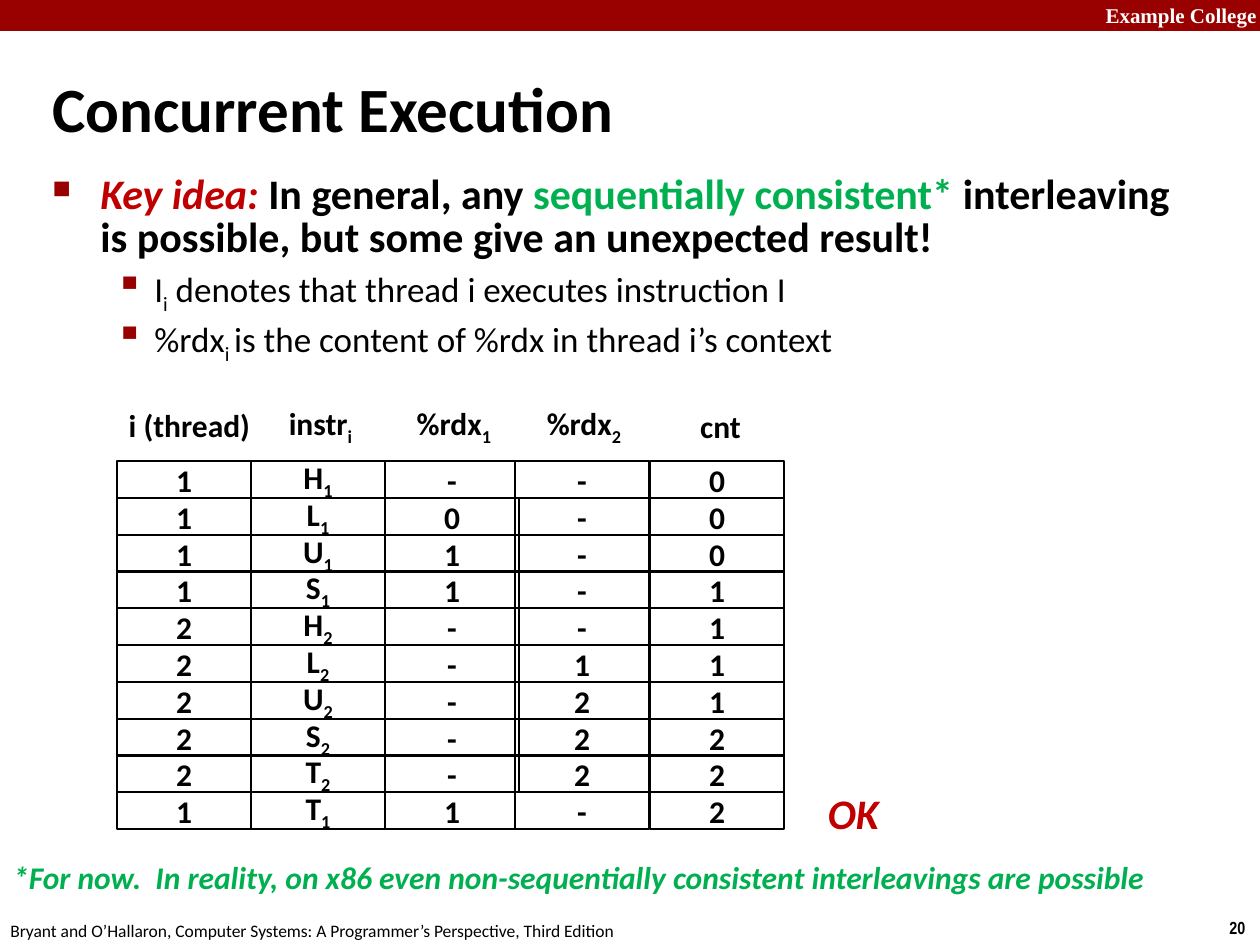
import pptx
import pptx.dml.color
import pptx.enum.shapes
import pptx.enum.text
import pptx.oxml.ns
import pptx.util
from lxml import etree

RGBColor = pptx.dml.color.RGBColor
BLACK = RGBColor(0x00, 0x00, 0x00)
WHITE = RGBColor(0xFF, 0xFF, 0xFF)
BAR_RED = RGBColor(0x99, 0x00, 0x00)
KEY_RED = RGBColor(0xC0, 0x00, 0x00)
GREEN = RGBColor(0x00, 0xB0, 0x50)

Pt = pptx.util.Pt
ALIGN = pptx.enum.text.PP_ALIGN
ANCHOR = pptx.enum.text.MSO_ANCHOR
RECTANGLE = pptx.enum.shapes.MSO_SHAPE.RECTANGLE
PX_PER_INCH = 126

# Execution trace: thread, (instruction, subscript), %rdx1, %rdx2, cnt
TRACE = [
    ("1", ("H", "1"), "-", "-", "0"),
    ("1", ("L", "1"), "0", "-", "0"),
    ("1", ("U", "1"), "1", "-", "0"),
    ("1", ("S", "1"), "1", "-", "1"),
    ("2", ("H", "2"), "-", "-", "1"),
    ("2", ("L", "2"), "-", "1", "1"),
    ("2", ("U", "2"), "-", "2", "1"),
    ("2", ("S", "2"), "-", "2", "2"),
    ("2", ("T", "2"), "-", "2", "2"),
    ("1", ("T", "1"), "1", "-", "2"),
]
# Column headings: text, subscript, left, top, width
HEADINGS = [
    ("i (thread)", "", 116, 400, 147),
    ("instr", "i", 276, 401, 89),
    ("%rdx", "1", 403, 401, 102),
    ("%rdx", "2", 533, 401, 102),
    ("cnt", "", 687, 401, 67),
]
COLUMN_LEFTS = (117, 251, 385, 515, 650)
TRACE_TOP, ROW_PITCH = 461, 36.8
CELL_WIDTH, CELL_HEIGHT = 134, 37


def px(length):
    return pptx.util.Emu(round(length * 914400 / PX_PER_INCH))


def add_run(paragraph, text, size, color=BLACK, bold=False, italic=False,
            font="Calibri", subscript=False):
    run = paragraph.add_run()
    run.text = text
    run.font.name = font
    run.font.size = Pt(size)
    run.font.bold = bold
    run.font.italic = italic
    run.font.color.rgb = color
    if subscript:
        run.font._element.set("baseline", "-25000")


def add_text_box(slide, left, top, width, height, anchor=ANCHOR.TOP, wrap=False):
    shape = slide.shapes.add_textbox(px(left), px(top), px(width), px(height))
    shape.text_frame.word_wrap = wrap
    shape.text_frame.vertical_anchor = anchor
    return shape.text_frame


def add_label(slide, text, box, size, align=ALIGN.LEFT, anchor=ANCHOR.TOP, **style):
    paragraph = add_text_box(slide, *box, anchor=anchor).paragraphs[0]
    paragraph.alignment = align
    add_run(paragraph, text, size, **style)
    return paragraph


def add_rectangle(slide, left, top, width, height, fill=None, line=None):
    shape = slide.shapes.add_shape(RECTANGLE, px(left), px(top), px(width), px(height))
    shape.shadow.inherit = False
    if fill is None:
        shape.fill.background()
    else:
        shape.fill.solid()
        shape.fill.fore_color.rgb = fill
    if line is None:
        shape.line.fill.background()
    else:
        shape.line.color.rgb = line
        shape.line.width = Pt(1)
    return shape


def add_cell(slide, left, top, content, fill):
    shape = add_rectangle(slide, left, top, CELL_WIDTH, CELL_HEIGHT, fill, BLACK)
    shape.text_frame.vertical_anchor = ANCHOR.MIDDLE
    paragraph = shape.text_frame.paragraphs[0]
    paragraph.alignment = ALIGN.CENTER
    for index, text in enumerate(content):
        add_run(paragraph, text, 18, bold=True, subscript=index > 0)


def set_indent(paragraph, margin, hanging):
    properties = paragraph._p.get_or_add_pPr()
    properties.set("marL", str(px(margin)))
    properties.set("indent", str(-px(hanging)))
    return properties


def set_bullet(paragraph, margin, hanging, character, percent):
    properties = set_indent(paragraph, margin, hanging)
    qn = pptx.oxml.ns.qn
    color = etree.SubElement(properties, qn("a:buClr"))
    etree.SubElement(color, qn("a:srgbClr"), val=str(BAR_RED))
    etree.SubElement(properties, qn("a:buSzPct"), val=str(percent * 1000))
    etree.SubElement(properties, qn("a:buChar"), char=character)


def add_body(slide):
    frame = add_text_box(slide, 40, 169, 1145, 200, wrap=True)

    # Key idea
    paragraph = frame.paragraphs[0]
    paragraph.line_spacing = 0.85
    paragraph.space_before = Pt(5)
    set_bullet(paragraph, 48, 48, "■", 60)
    add_run(paragraph, "Key idea: ", 24, KEY_RED, bold=True, italic=True)
    add_run(paragraph, "In general, any ", 24, bold=True)
    add_run(paragraph, "sequentially consistent* ", 24, GREEN, bold=True)
    add_run(paragraph, "interleaving is possible, but some give an unexpected result!",
            24, bold=True)

    # Notation
    for symbol, subscript, meaning in (
        ("I", "i", " denotes that thread i executes instruction I"),
        ("%rdx", "i ", "is the content of %rdx in thread i’s context"),
    ):
        paragraph = frame.add_paragraph()
        paragraph.level = 1
        paragraph.line_spacing = 0.9
        paragraph.space_before = Pt(4)
        set_bullet(paragraph, 102, 39, "▪", 110)
        add_run(paragraph, symbol, 20)
        add_run(paragraph, subscript, 20, subscript=True)
        add_run(paragraph, meaning, 20)


def add_trace(slide):
    for text, subscript, left, top, width in HEADINGS:
        paragraph = add_label(slide, text, (left, top, width, 50), 18,
                              ALIGN.CENTER, ANCHOR.MIDDLE, bold=True)
        if subscript:
            add_run(paragraph, subscript, 18, bold=True, subscript=True)

    # Only the first and last rows are filled
    for column, left in enumerate(COLUMN_LEFTS):
        for row, values in enumerate(TRACE):
            fill = WHITE if row in (0, len(TRACE) - 1) else None
            top = TRACE_TOP + round(row * ROW_PITCH)
            add_cell(slide, left, top, values[column], fill)


def main():
    presentation = pptx.Presentation()
    presentation.slide_width = px(1260)
    presentation.slide_height = px(945)
    slide = presentation.slides.add_slide(presentation.slide_layouts[6])

    # Header bar and footer
    add_rectangle(slide, 0, 0, 1260, 31, BAR_RED)
    add_label(slide, "Example College", (1089, -4, 180, 38), 12, ALIGN.RIGHT,
              color=WHITE, bold=True, font="Times New Roman")
    add_label(slide, "20", (1217, 911, 43, 34), 10, bold=True, font="Arial Narrow")
    add_label(slide, "Bryant and O’Hallaron, Computer Systems: "
              "A Programmer’s Perspective, Third Edition", (-2, 914, 640, 34), 10)

    # Title and body
    title = add_label(slide, "Concurrent Execution", (40, 68, 912, 79), 36,
                      anchor=ANCHOR.MIDDLE, bold=True)
    set_indent(title, 16, 16)
    add_body(slide)

    # Trace, verdict and footnote
    add_trace(slide)
    add_label(slide, "OK", (815, 781, 77, 63), 24, ALIGN.CENTER, ANCHOR.MIDDLE,
              color=KEY_RED, bold=True, italic=True)
    add_label(slide, "*For now.  In reality, on x86 even non-sequentially consistent "
              "interleavings are possible ", (-2, 852, 1169, 50), 18, ALIGN.CENTER,
              ANCHOR.MIDDLE, color=GREEN, bold=True, italic=True)

    presentation.save("out.pptx")


if __name__ == "__main__":
    main()
